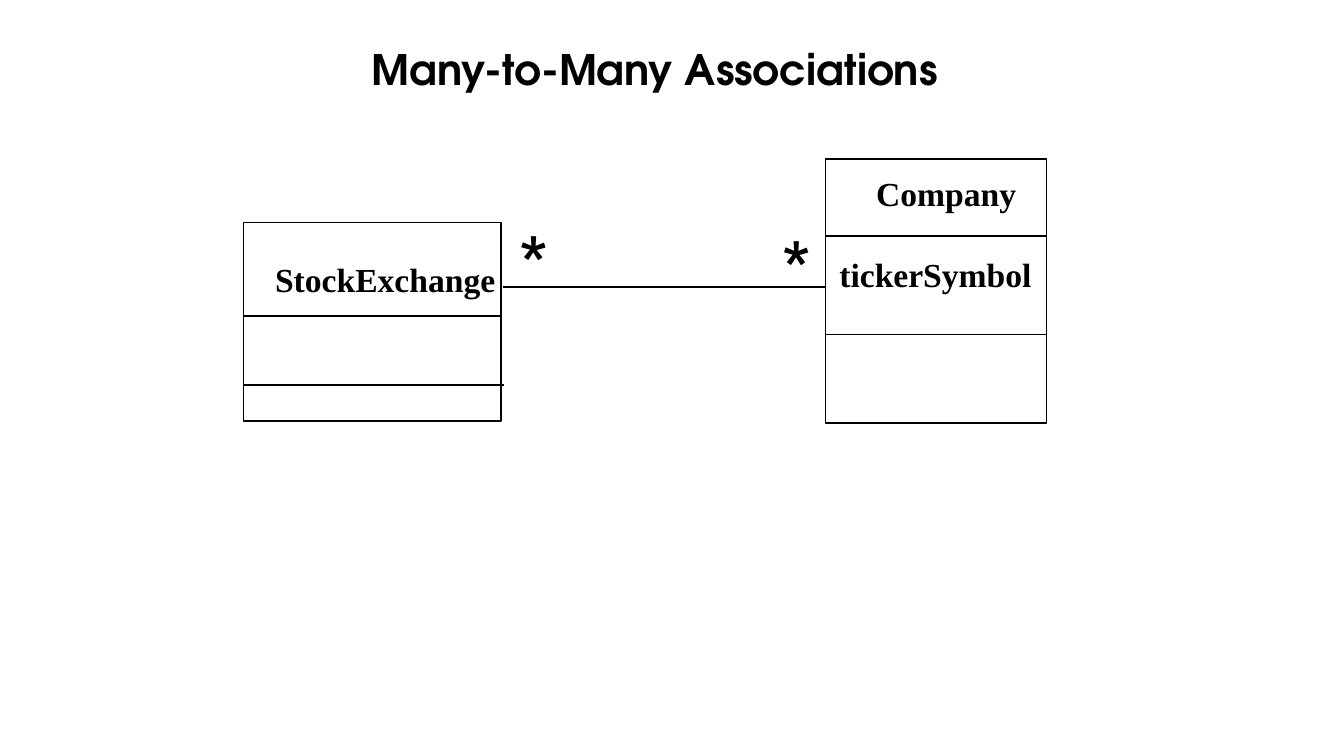
from lxml.etree import SubElement
from pptx import Presentation
from pptx.dml.color import RGBColor
from pptx.enum.shapes import MSO_CONNECTOR as Connector, MSO_SHAPE as Shape
from pptx.enum.text import MSO_ANCHOR as Anchor, PP_ALIGN as Align
from pptx.oxml.ns import qn
from pptx.util import Pt

BLACK = RGBColor(0, 0, 0)
TITLE_FONT = "TeX Gyre Adventor"
CLASS_FONT = "Times New Roman"
MULTIPLICITY_FONT = "Roboto"


def add_label(slide, text, left, top, width, height, font_name, size):
    label = slide.shapes.add_textbox(Pt(left), Pt(top), Pt(width), Pt(height))
    paragraph = label.text_frame.paragraphs[0]
    paragraph.text = text
    font = paragraph.font
    font.name, font.size, font.bold = font_name, Pt(size), True
    font.color.rgb = BLACK
    return label.text_frame


def add_title(slide, text):
    frame = add_label(slide, text, 44, 17.3, 856, 67.7, TITLE_FONT, 30)
    frame.word_wrap = True
    frame.vertical_anchor = Anchor.MIDDLE
    frame.paragraphs[0].alignment = Align.CENTER
    frame.paragraphs[0].line_spacing = 0.9


def add_line(slide, left, right, y):
    line = slide.shapes.add_connector(
        Connector.STRAIGHT, Pt(left), Pt(y), Pt(right), Pt(y))
    line.line.color.rgb = BLACK
    line.line.width = Pt(1)
    SubElement(line._element.spPr, qn("a:effectLst"))


def add_class(slide, left, top, width, height, dividers):
    outline = slide.shapes.add_shape(
        Shape.RECTANGLE, Pt(left), Pt(top), Pt(width), Pt(height))
    outline.shadow.inherit = False
    outline.fill.background()
    outline.line.color.rgb = BLACK
    outline.line.width = Pt(1)
    for right, y in dividers:
        add_line(slide, left, right, y)


def add_class_text(slide, text, left, top, width):
    add_label(slide, text, left, top, width, 36, CLASS_FONT, 24)


def add_multiplicity(slide, left, top):
    add_label(slide, "*", left, top, 29.5, 54.7, MULTIPLICITY_FONT, 40)


def main():
    deck = Presentation()
    deck.slide_width, deck.slide_height = Pt(960), Pt(540)
    slide = deck.slides.add_slide(deck.slide_layouts[6])

    add_title(slide, "Many-to-Many Associations ")

    add_class(slide, 174, 159, 184, 141.8, [(357.8, 225.8), (360, 275)])
    add_class_text(slide, "StockExchange", 189.4, 181.4, 174)

    add_class(slide, 589.8, 113.7, 157.7, 188.6, [(747.5, 168.6), (747.5, 238.8)])
    add_class_text(slide, "Company", 618.7, 120.2, 121.7)
    add_class_text(slide, "tickerSymbol", 592.5, 177.8, 152)

    add_line(slide, 359.5, 589.8, 205)
    add_multiplicity(slide, 364.7, 154)
    add_multiplicity(slide, 552.4, 157.7)

    deck.save("out.pptx")


if __name__ == "__main__":
    main()
